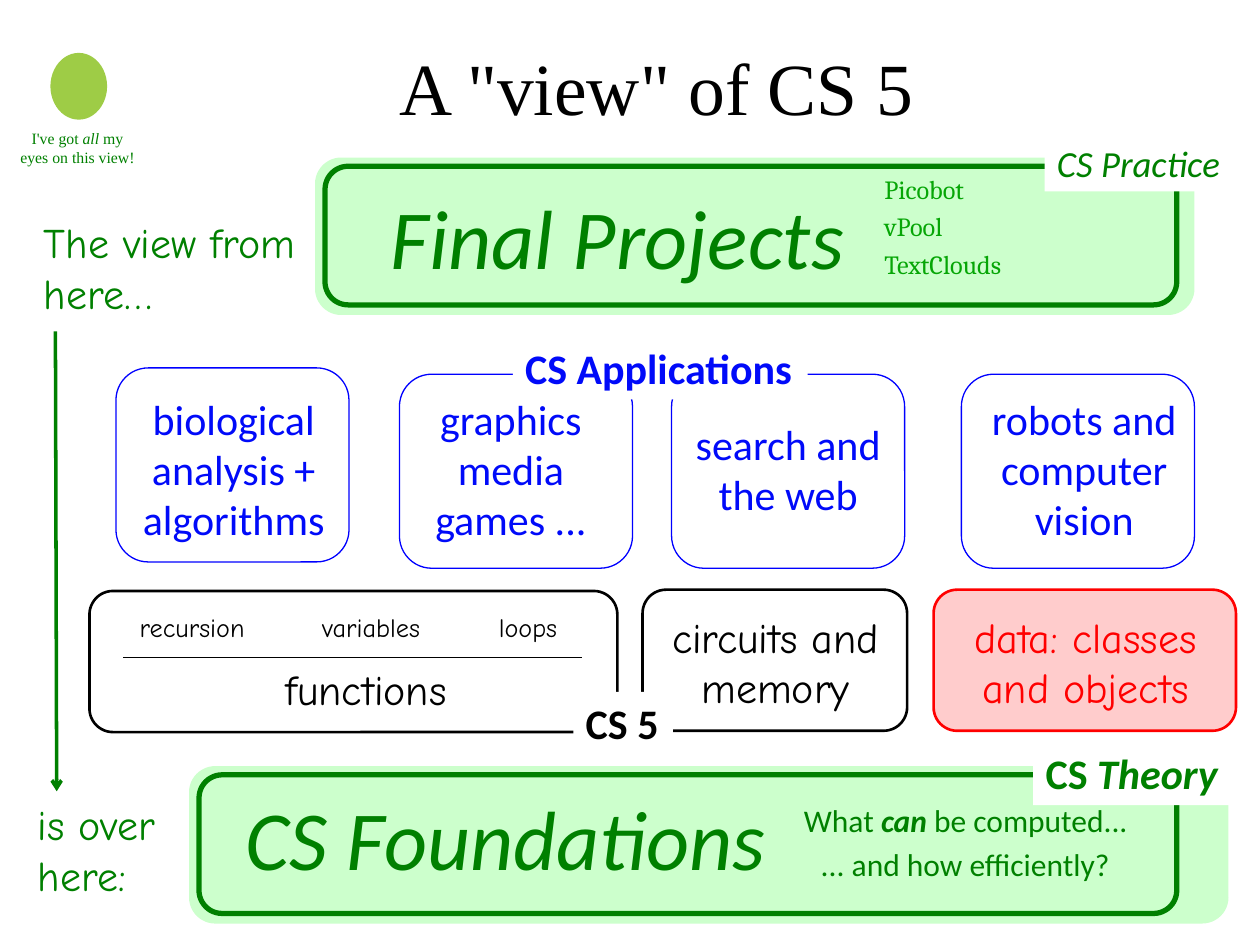
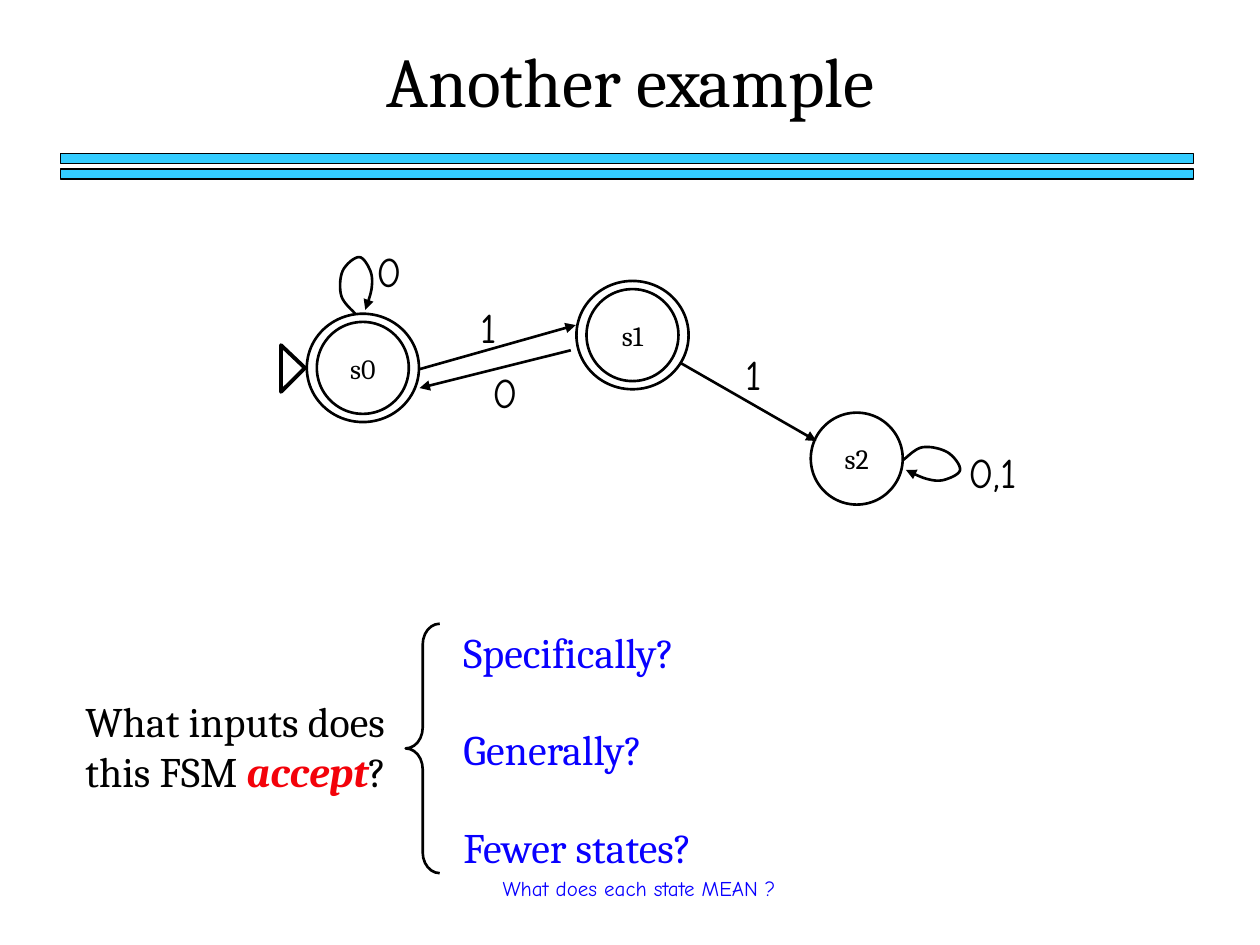
"""Build two course slides: a map of CS 5 and a state machine example."""
from dataclasses import dataclass, field

from lxml.etree import SubElement
from pptx import Presentation
from pptx.dml.color import RGBColor
from pptx.enum.shapes import MSO_CONNECTOR, MSO_SHAPE
from pptx.enum.text import MSO_ANCHOR, MSO_AUTO_SIZE, PP_ALIGN
from pptx.oxml.ns import qn
from pptx.util import Inches, Pt


@dataclass(frozen=True)
class Theme:
    """Colours and text styles shared by the slides."""
    black: str = "000000"
    white: str = "FFFFFF"
    green: str = "008000"
    pale_green: str = "CCFFCC"
    alien: str = "9ECC46"
    blue: str = "0000FF"
    red: str = "FF0000"
    pale_red: str = "FFCCCC"
    band: str = "33CCFF"
    styles: dict = field(default_factory=lambda: {
        "view title": dict(name="Times New Roman", size=42, color="000000"),
        "example title": dict(name="Cambria", size=40, color="000000"),
        "panel": dict(name="Calibri", size=48, color="008000", italic=True),
        "practice": dict(name="Calibri", size=21, color="008000", italic=True),
        "theory": dict(name="Calibri", size=24, color="008000", bold=True),
        "applications": dict(name="Calibri", size=24, color="000AF9", bold=True),
        "course": dict(name="Calibri", size=24, color="000000", bold=True),
        "application": dict(name="Calibri", size=24, color="000AF9"),
        "theory note": dict(name="Calibri", size=18, color="008000"),
        "project": dict(name="Cambria", size=15, color="06A606"),
        "speech": dict(name="Times New Roman", size=9, color="008000"),
        "route": dict(name="Comic Neue", size=24, color="008000"),
        "topic": dict(name="Comic Neue", size=24, color="000000"),
        "objects": dict(name="Comic Neue", size=24, color="FF0000"),
        "small topic": dict(name="Comic Neue", size=15, color="000000"),
        "state": dict(name="Cambria", size=16, color="000000"),
        "question": dict(name="Cambria", size=24, color="000000"),
        "prompt": dict(name="Cambria", size=24, color="0900FF"),
        "hint": dict(name="Comic Neue", size=12, color="0900FF"),
    })


T = Theme()
CENTER = dict(align=PP_ALIGN.CENTER)
ONE_LINE = dict(wrap=False)
MIDDLE = dict(anchor=MSO_ANCHOR.MIDDLE)

PANELS = [(1.5, 6.08, 8.25), (2.5, 1.25, 6.98)]
CARD_SIZE = (1.85, 1.54)
APPLICATIONS = [
    ("biological analysis + algorithms", (0.92, 2.92), (1, 3.07, 1.71, 1.31)),
    ("graphics media games ...", (3.17, 2.97), (3.2, 3.07, 1.71, 1.31)),
    ("search and the web", (5.33, 2.97), (5.4, 3.27, 1.71, 0.91)),
    ("robots and computer vision", (7.63, 2.97), (7.6, 3.07, 2.01, 1.31)),
]
TOPIC_BOXES = [
    ((0.71, 4.69, 4.19, 1.12), None, T.black),
    ((5.1, 4.68, 2.1, 1.12), None, T.black),
    ((7.41, 4.68, 2.4, 1.12), T.pale_red, T.red),
]
VIEW_TEXTS = [
    ("The view from here…", (0.25, 1.67, 2.32, 0.91), "route", {}),
    ("is over here:", (0.2, 6.29, 1.76, 0.91), "route", {}),
    ([("I've got ", {}), ("all ", dict(italic=True)), ("my eyes on this view!", {})],
     (0.03, 0.97, 1.17, 0.4), "speech", CENTER),
    ("Final Projects", (2.98, 1.42, 3.84, 0.91), "panel", CENTER | ONE_LINE),
    ("CS Foundations", (1.75, 6.19, 4.53, 0.91), "panel", CENTER | ONE_LINE),
    ("Picobot\nvPool\nTextClouds", (6.92, 1.38, 1.2, 0.94), "project",
     dict(wrap=False, line=14, gap=7.5)),
    ("recursion", (0.9, 4.8, 1.25, 0.35), "small topic", CENTER),
    ("variables", (2.32, 4.8, 1.25, 0.35), "small topic", CENTER),
    ("loops", (3.73, 4.8, 0.92, 0.35), "small topic", CENTER),
    ("functions", (1.9, 5.22, 2.01, 0.51), "topic", CENTER),
    ("circuits and memory", (4.9, 4.8, 2.51, 0.91), "topic", CENTER),
    ("data: classes and objects", (7.48, 4.8, 2.27, 0.91), "objects", CENTER),
    ([("What ", {}), ("can ", dict(bold=True, italic=True)), ("be computed...", {})],
     (6.27, 6.31, 2.79, 0.4), "theory note", CENTER | ONE_LINE),
    ("... and how efficiently?", (6.4, 6.66, 2.52, 0.4), "theory note", CENTER | ONE_LINE),
]
TABS = [
    ("CS Applications", (4.07, 2.67, 2.34, 0.5), "applications"),
    ("CS 5", (4.55, 5.49, 0.79, 0.51), "course"),
    ([("CS ", {}), ("Theory", dict(italic=True))], (8.2, 5.88, 1.68, 0.51), "theory"),
    ("CS Practice", (8.29, 1.07, 1.61, 0.45), "practice"),
]

STATES = [("s0", 2.88, 2.92, True), ("s1", 5.02, 2.66, True), ("s2", 6.8, 3.64, False)]
STATE_SIZE, RING_SIZE = (0.73, 0.73), (0.89, 0.86)
MOVES = [((3.33, 2.93), (4.57, 2.58)), ((4.53, 2.78), (3.33, 3.08)),
         ((5.4, 2.88), (6.48, 3.5))]
LOOPS = [
    [(2.82, 2.49), (2.71, 2.35), (2.72, 2.15), (2.85, 2.04), (2.94, 2.15),
     (2.95, 2.29), (2.9, 2.46)],
    [(7.17, 3.65), (7.32, 3.55), (7.52, 3.59), (7.62, 3.73), (7.49, 3.81),
     (7.35, 3.8), (7.19, 3.73)],
]
START_MARK = [(2.23, 2.74), (2.23, 3.11), (2.42, 2.92)]
INPUTS = [("0", 3.09, 2.15), ("1", 3.88, 2.59), ("0", 4.01, 3.11),
          ("1", 5.98, 2.97), ("0,1", 7.88, 3.74)]
PROMPTS = ["Specifically?", "Generally?", "Fewer states?"]
ACCEPT = dict(color="F3020A", bold=True, italic=True)
QUESTION = [("What inputs does this FSM ", {}), ("accept", ACCEPT), ("?", {})]


def inches(values):
    return [Inches(v) for v in values]


def centred(x, y, size):
    w, h = size
    return x - w / 2, y - h / 2, w, h


def set_font(font, fmt):
    for key, value in fmt.items():
        if key == "color":
            font.color.rgb = RGBColor.from_string(value)
        else:
            setattr(font, key, Pt(value) if key == "size" else value)


def write(sp, content, style, align=PP_ALIGN.LEFT, wrap=True, anchor=MSO_ANCHOR.TOP,
          line=None, gap=0):
    tf = sp.text_frame
    for key, value in dict(word_wrap=wrap, vertical_anchor=anchor,
                           auto_size=MSO_AUTO_SIZE.NONE).items():
        setattr(tf, key, value)
    paragraphs = ([[(t, {})] for t in content.split("\n")]
                  if isinstance(content, str) else [content])
    for i, runs in enumerate(paragraphs):
        p = tf.add_paragraph() if i else tf.paragraphs[0]
        p.alignment = align
        if line:
            p.line_spacing = Pt(line)
        if i:
            p.space_before = Pt(gap)
        for text, extra in runs:
            r = p.add_run()
            r.text = text
            set_font(r.font, T.styles[style] | extra)


def add_text(s, content, at, style, **options):
    write(s.shapes.add_textbox(*inches(at)), content, style, **options)


def paint(sp, fill=None, line=None, width=0.75):
    sp.shadow.inherit = False
    if fill:
        sp.fill.solid()
        sp.fill.fore_color.rgb = RGBColor.from_string(fill)
    else:
        sp.fill.background()
    if line:
        sp.line.color.rgb = RGBColor.from_string(line)
        sp.line.width = Pt(width)
    else:
        sp.line.fill.background()
    return sp


def add_box(s, kind, at, fill=None, line=None, width=0.75):
    return paint(s.shapes.add_shape(kind, *inches(at)), fill, line, width)


def add_head(sp, head):
    SubElement(sp.line._get_or_add_ln(), qn("a:tailEnd"), type=head)


def add_line(s, start, end, color, width, head=None):
    c = s.shapes.add_connector(MSO_CONNECTOR.STRAIGHT, *inches(start + end))
    c.line.color.rgb = RGBColor.from_string(color)
    c.line.width = Pt(width)
    if head:
        add_head(c, head)
    SubElement(c._element.spPr, qn("a:effectLst"))


def smooth(points, steps=8):
    """Return points on a Catmull-Rom curve through the given points."""
    ends = [points[0], *points, points[-1]]
    curve = [points[0]]
    for a, b, c, d in zip(ends, ends[1:], ends[2:], ends[3:]):
        for t in (k / steps for k in range(1, steps + 1)):
            curve.append(tuple(
                (2 * q + (r - p) * t + (2 * p - 5 * q + 4 * r - u) * t ** 2
                 + (3 * q - p - 3 * r + u) * t ** 3) / 2
                for p, q, r, u in zip(a, b, c, d)))
    return curve


def add_outline(s, points, width, close=False):
    fb = s.shapes.build_freeform(*inches(points[0]))
    fb.add_line_segments([inches(p) for p in points[1:]], close=close)
    return paint(fb.convert_to_shape(), None, T.black, width)


def new_slide(prs, title, at, style):
    s = prs.slides.add_slide(prs.slide_layouts[5])
    sp = s.shapes.title
    sp.left, sp.top, sp.width, sp.height = inches(at)
    write(sp, title, style, **CENTER)
    return s


def build_view(prs):
    s = new_slide(prs, 'A "view" of CS 5', (1.25, 0.28, 7.92, 0.8), "view title")
    rounded = MSO_SHAPE.ROUNDED_RECTANGLE
    for left, top, width in PANELS:
        add_box(s, rounded, (left, top, width, 1.25), T.pale_green)
        add_box(s, rounded, (left + 0.08, top + 0.07, 9.26 - left, 1.1),
                None, T.green, 3)
    add_box(s, MSO_SHAPE.OVAL, (0.4, 0.42, 0.45, 0.53), T.alien)
    for at, fill, line in TOPIC_BOXES:
        add_box(s, rounded, at, fill, line, 1.5)
    for text, corner, at in APPLICATIONS:
        add_box(s, rounded, corner + CARD_SIZE, None, T.blue)
        add_text(s, text, at, "application", **CENTER)
    add_line(s, (0.98, 5.22), (4.62, 5.22), T.black, 0.75)
    add_line(s, (0.44, 2.63), (0.45, 6.28), T.green, 2, "arrow")
    for text, at, style, options in VIEW_TEXTS:
        add_text(s, text, at, style, **options)
    for text, at, style in TABS:
        write(add_box(s, MSO_SHAPE.RECTANGLE, at, T.white), text, style, **ONE_LINE)


def build_example(prs):
    s = new_slide(prs, "Another example", (0.75, 0.25, 8.51, 0.77), "example title")
    for top in (1.22, 1.34):
        add_box(s, MSO_SHAPE.RECTANGLE, (0.48, top, 8.99, 0.08), T.band, T.black)
    for name, x, y, accepting in STATES:
        if accepting:
            add_box(s, MSO_SHAPE.OVAL, centred(x, y, RING_SIZE), None, T.black, 1.5)
        sp = add_box(s, MSO_SHAPE.OVAL, centred(x, y, STATE_SIZE), None, T.black, 1.5)
        write(sp, name, "state", **CENTER, **ONE_LINE, **MIDDLE)
    for start, end in MOVES:
        add_line(s, start, end, T.black, 1.5, "triangle")
    for points in LOOPS:
        add_head(add_outline(s, smooth(points), 1.5), "triangle")
    add_outline(s, START_MARK, 2.25, close=True)
    for text, x, y in INPUTS:
        add_text(s, text, centred(x, y, (0.65, 0.5)), "topic",
                 **CENTER, **ONE_LINE, **MIDDLE)
    add_text(s, QUESTION, (0.58, 5.47, 2.67, 0.9), "question", **MIDDLE)
    brace = add_box(s, MSO_SHAPE.LEFT_BRACE, (3.22, 4.95, 0.27, 1.98),
                    None, T.black, 1.5)
    brace.adjustments[0] = 0.61
    for i, text in enumerate(PROMPTS):
        add_text(s, text, (3.58, 4.92 + 0.775 * i, 2.67, 0.5), "prompt", **MIDDLE)
    add_text(s, "What does each state MEAN ?", (3.89, 6.9, 3.1, 0.3), "hint")


def main():
    prs = Presentation()
    prs.slide_width, prs.slide_height = inches((10, 7.5))
    build_view(prs)
    build_example(prs)
    prs.save("out.pptx")


if __name__ == "__main__":
    main()
